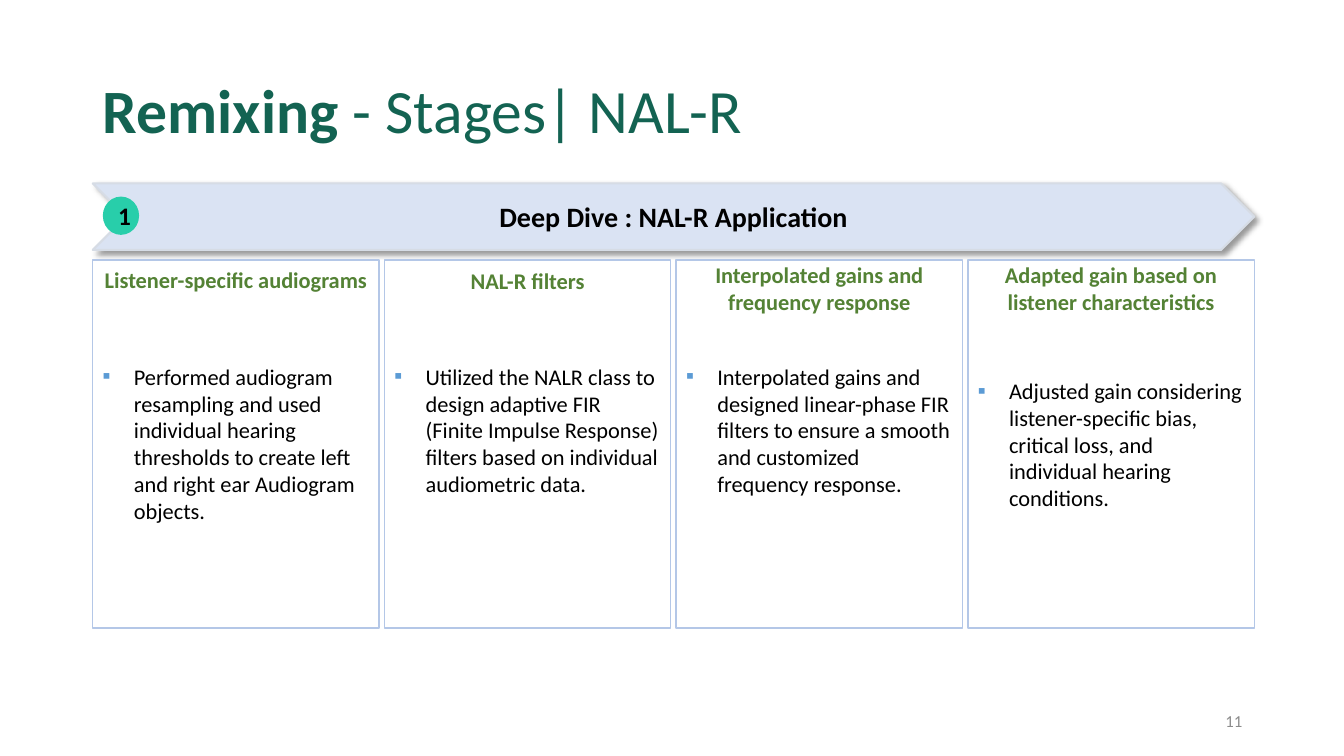
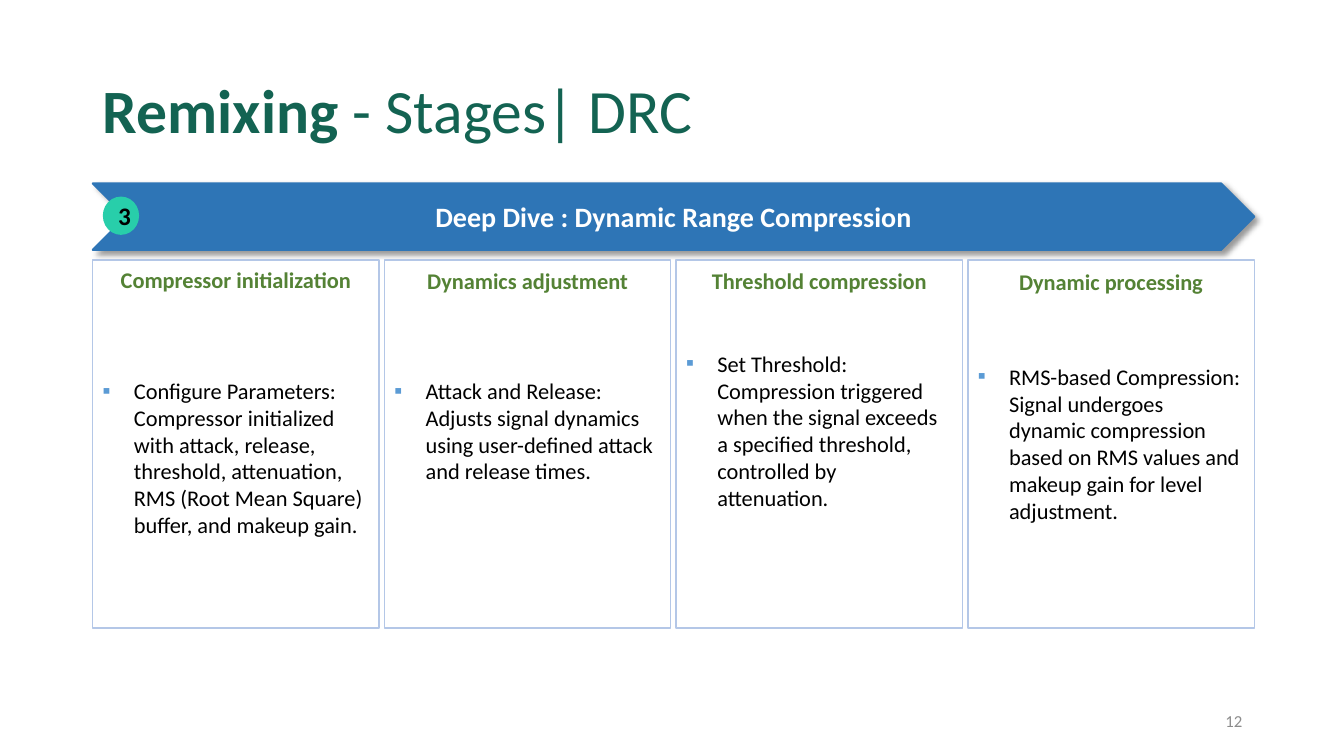
import lxml.etree
import pptx
import pptx.dml.color
import pptx.enum.shapes
import pptx.enum.text
import pptx.oxml.ns
import pptx.util

Inches = pptx.util.Inches
Pt = pptx.util.Pt
RGBColor = pptx.dml.color.RGBColor
SHAPE = pptx.enum.shapes.MSO_SHAPE
ALIGN = pptx.enum.text.PP_ALIGN
ANCHOR = pptx.enum.text.MSO_ANCHOR
qn = pptx.oxml.ns.qn

# Each card: heading, heading top, heading height, body top, body text
STAGES = [
    {
        "topic": "NAL-R", "page": "11", "step": "1",
        "banner": "Deep Dive : NAL-R Application", "style": "light",
        "cards": [
            ("Listener-specific audiograms", 2.58, 0.38, 3.6,
             "Performed audiogram resampling and used individual hearing "
             "thresholds to create left and right ear Audiogram objects."),
            ("NAL-R filters", 2.59, 0.38, 3.6,
             "Utilized the NALR class to design adaptive FIR (Finite Impulse "
             "Response) filters based on individual audiometric data."),
            ("Interpolated gains and frequency response", 2.62, 0.48, 3.6,
             "Interpolated gains and designed linear-phase FIR filters to "
             "ensure a smooth and customized frequency response."),
            ("Adapted gain based on listener characteristics", 2.67, 0.38, 3.74,
             "Adjusted gain considering listener-specific bias, critical loss, "
             "and individual hearing conditions."),
        ],
    },
    {
        "topic": "DRC", "page": "12", "step": "3",
        "banner": "Deep Dive : Dynamic Range Compression", "style": "dark",
        "cards": [
            ("Compressor initialization", 2.58, 0.38, 3.74,
             "Configure Parameters: Compressor initialized with attack, release, "
             "threshold, attenuation, RMS (Root Mean Square) buffer, and makeup gain."),
            ("Dynamics adjustment", 2.59, 0.38, 3.74,
             "Attack and Release: Adjusts signal dynamics using user-defined "
             "attack and release times."),
            ("Threshold compression", 2.62, 0.33, 3.47,
             "Set Threshold: Compression triggered when the signal exceeds a "
             "specified threshold, controlled by attenuation."),
            ("Dynamic processing", 2.65, 0.28, 3.6,
             "RMS-based Compression: Signal undergoes dynamic compression based "
             "on RMS values and makeup gain for level adjustment."),
        ],
    },
]

FONT = "Calibri"
BLACK = RGBColor(0x00, 0x00, 0x00)
WHITE = RGBColor(0xFF, 0xFF, 0xFF)
TITLE_GREEN = RGBColor(0x13, 0x63, 0x52)
HEADING_GREEN = RGBColor(0x54, 0x82, 0x35)
BADGE_TEAL = RGBColor(0x28, 0xCE, 0xAA)
CARD_EDGE = RGBColor(0xB4, 0xC7, 0xE7)
BULLET_BLUE = RGBColor(0x5B, 0x9B, 0xD5)
PAGE_GRAY = RGBColor(0x8C, 0x8C, 0x8C)
# Banner fill, edge and text
BANNER_STYLES = {
    "light": (RGBColor(0xDA, 0xE3, 0xF3), RGBColor(0xD6, 0xDC, 0xE5), BLACK),
    "dark": (RGBColor(0x2E, 0x75, 0xB6), RGBColor(0x2E, 0x75, 0xB6), WHITE),
}

LEFT, SPAN = 0.92, 11.52
CARD_TOP, CARD_WIDTH, CARD_HEIGHT = 2.58, 2.84, 3.65
HANG = 0.31


def write(shape, runs, size=16, color=BLACK, align=ALIGN.CENTER,
          anchor=ANCHOR.MIDDLE, spacing=None):
    """Fill a shape with one paragraph of (text, bold) runs and return it."""
    frame = shape.text_frame
    frame.word_wrap = True
    frame.vertical_anchor = anchor
    paragraph = frame.paragraphs[0]
    paragraph.alignment = align
    paragraph.line_spacing = spacing
    for words, bold in runs:
        run = paragraph.add_run()
        run.text = words
        run.font.name = FONT
        run.font.size = Pt(size)
        run.font.bold = bold
        run.font.color.rgb = color
    return paragraph


def add_box(slide, kind, box, fill, edge=None, edge_width=1):
    """Add a preset shape with flat fill and an optional outline."""
    shape = slide.shapes.add_shape(kind, *map(Inches, box))
    shape.shadow.inherit = False
    shape.fill.solid()
    shape.fill.fore_color.rgb = fill
    if edge is None:
        shape.line.fill.background()
    else:
        shape.line.color.rgb = edge
        shape.line.width = Pt(edge_width)
    return shape


def add_label(slide, box, words, bold=False, **style):
    """Add a text box holding one run."""
    write(slide.shapes.add_textbox(*map(Inches, box)), [(words, bold)], **style)


def add_color(parent, color):
    """Append a plain RGB colour element and return it."""
    return lxml.etree.SubElement(parent, qn("a:srgbClr"), val=str(color))


def cast_shadow(shape):
    """Give a shape a soft shadow to the lower right."""
    effects = shape._element.spPr.find(qn("a:effectLst"))
    shadow = lxml.etree.SubElement(
        effects, qn("a:outerShdw"), blurRad=str(Pt(4)), dist=str(Pt(3)),
        dir="2700000", algn="tl", rotWithShape="0")
    lxml.etree.SubElement(add_color(shadow, BLACK), qn("a:alpha"), val="40000")


def add_bullet(paragraph):
    """Give a paragraph a hanging square bullet."""
    properties = paragraph._p.get_or_add_pPr()
    properties.set("marL", str(Inches(HANG)))
    properties.set("indent", str(-Inches(HANG)))
    add_color(lxml.etree.SubElement(properties, qn("a:buClr")), BULLET_BLUE)
    lxml.etree.SubElement(properties, qn("a:buFont"), typeface=FONT)
    lxml.etree.SubElement(properties, qn("a:buChar"), char="▪")


def add_title(slide, topic):
    """Place and format the title placeholder."""
    title = slide.shapes.title
    title.left, title.top, title.width, title.height = map(
        Inches, (LEFT, 0.4, 11.5, 1.45))
    write(title, [("Remixing", True), (f" - Stages| {topic}", False)],
          size=44, color=TITLE_GREEN, align=ALIGN.LEFT, spacing=0.9)


def add_banner(slide, words, style):
    """Draw the chevron that names the stage."""
    fill, edge, ink = BANNER_STYLES[style]
    banner = add_box(slide, SHAPE.CHEVRON, (LEFT, 1.82, SPAN, 0.66), fill, edge, 1.5)
    cast_shadow(banner)
    write(banner, [(words, True)], size=20, color=ink)


def add_cards(slide, cards):
    """Spread the cards evenly under the banner, each with its heading."""
    pitch = (SPAN - CARD_WIDTH) / (len(cards) - 1)
    for column, (heading, heading_top, heading_height, body_top, body) in enumerate(cards):
        left = LEFT + column * pitch
        card = add_box(slide, SHAPE.RECTANGLE,
                       (left, CARD_TOP, CARD_WIDTH, CARD_HEIGHT), WHITE, CARD_EDGE)
        card.text_frame.margin_top = Inches(body_top - CARD_TOP)
        add_bullet(write(card, [(body, False)], align=ALIGN.LEFT, anchor=ANCHOR.TOP))
        add_label(slide, (left, heading_top, CARD_WIDTH, heading_height), heading,
                  bold=True, color=HEADING_GREEN)


def build_stage(deck, stage):
    """Build one stage slide."""
    slide = deck.slides.add_slide(deck.slide_layouts[5])
    add_title(slide, stage["topic"])
    add_label(slide, (9.42, 6.95, 3, 0.4), stage["page"],
              size=12, color=PAGE_GRAY, align=ALIGN.RIGHT)
    add_banner(slide, stage["banner"], stage["style"])
    add_cards(slide, stage["cards"])
    badge = add_box(slide, SHAPE.FLOWCHART_CONNECTOR, (1.02, 1.95, 0.36, 0.38), BADGE_TEAL)
    write(badge, [(stage["step"], True)], size=18)


deck = pptx.Presentation()
deck.slide_width, deck.slide_height = Inches(13.33), Inches(7.5)
for stage in STAGES:
    build_stage(deck, stage)
deck.save("out.pptx")
